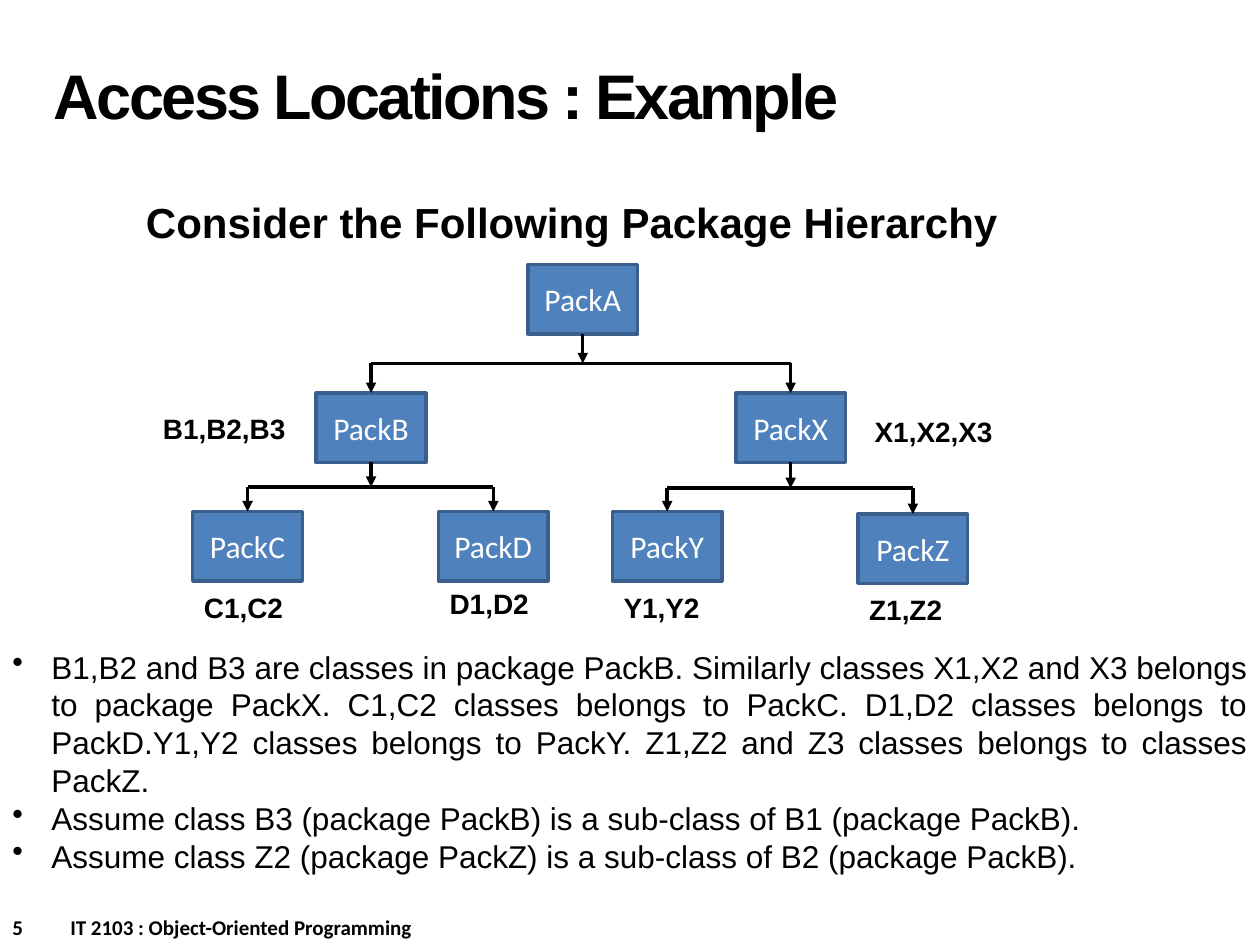
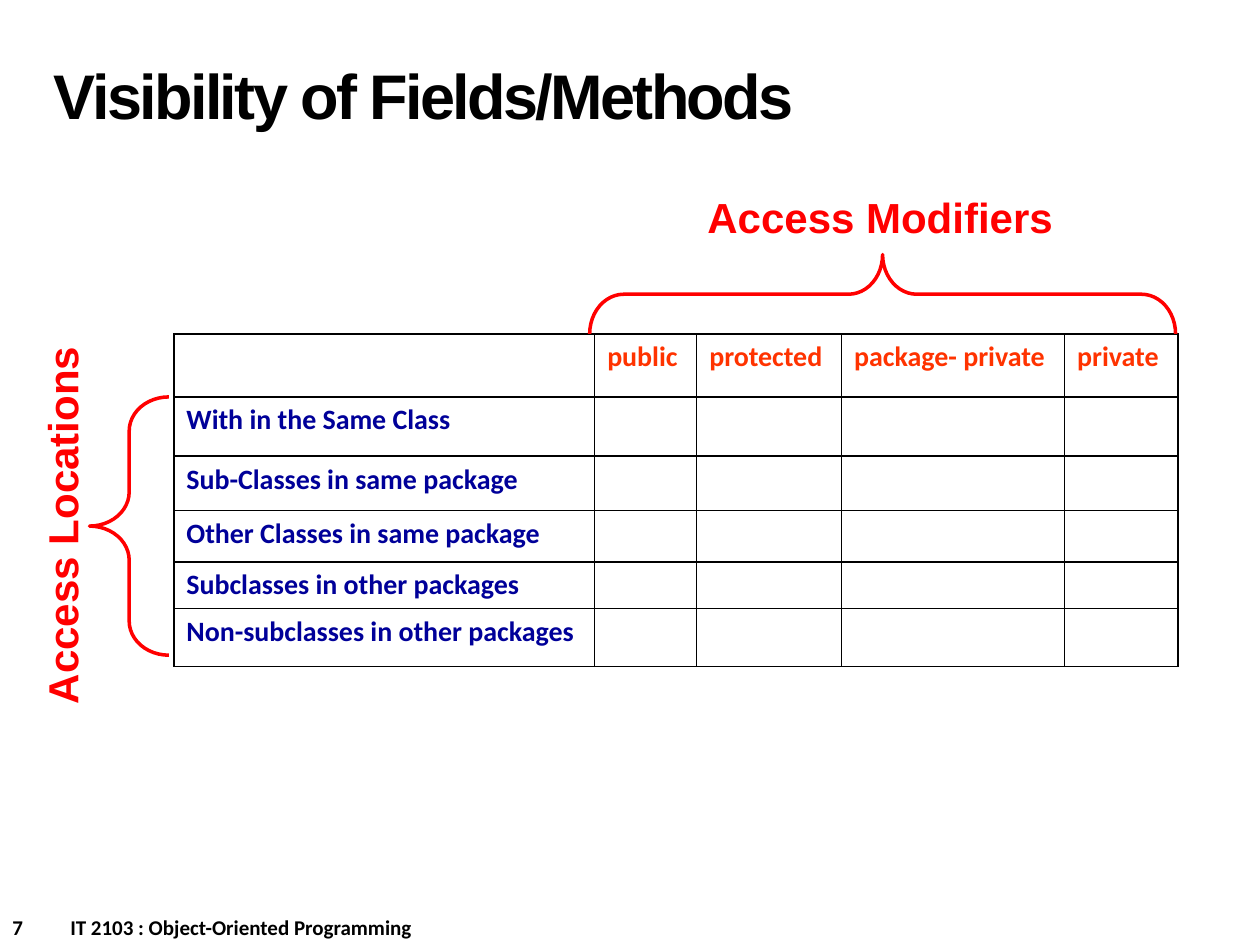
from dataclasses import dataclass
from typing import NamedTuple

from lxml.etree import SubElement
from pptx import Presentation
from pptx.dml.color import RGBColor
from pptx.enum.shapes import MSO_CONNECTOR, MSO_SHAPE
from pptx.enum.text import MSO_ANCHOR, PP_ALIGN
from pptx.oxml.ns import qn
from pptx.util import Inches, Pt


@dataclass(frozen=True)
class Theme:
    """Colours, fonts and type sizes shared by the slides."""
    heading_font: str = "Arial"
    label_font: str = "Calibri"
    black: str = "000000"
    white: str = "FFFFFF"
    box_fill: str = "4F81BD"
    box_line: str = "3A5F8C"
    red: str = "FF0000"
    modifier: str = "FF3300"
    location: str = "000099"
    title_size: int = 36
    heading_size: int = 24
    body_size: int = 18
    label_size: int = 16
    footer_size: int = 12
    line_width: int = 2


class Area(NamedTuple):
    """A rectangle in inches."""
    left: float
    top: float
    width: float
    height: float


class Package(NamedTuple):
    """A package box with its class label and its child packages."""
    name: str
    left: float
    top: float
    classes: str = ""
    label: Area = None
    align: PP_ALIGN = PP_ALIGN.LEFT
    children: tuple = ()


class Brace(NamedTuple):
    """A turned brace and the heading beside it."""
    area: Area
    rotation: int
    heading: str
    heading_area: Area
    heading_rotation: int


THEME = Theme()
BOX_WIDTH, BOX_HEIGHT = 0.87, 0.55
LABEL_WIDTH, LABEL_HEIGHT = 0.85, 0.37
SIDE_LABEL_WIDTH = 1.44
COURSE = "IT 2103 : Object-Oriented Programming"


def leaf(name: str, left: float, top: float, classes: str, label_top: float) -> Package:
    """Make a package whose label stands below its box."""
    return Package(name, left, top, classes,
                   Area(left - 0.01, label_top, LABEL_WIDTH, LABEL_HEIGHT))


def branch(name: str, left: float, top: float, classes: str, label_left: float,
           label_top: float, *children: Package) -> Package:
    """Make a package whose label stands at the side of its box."""
    return Package(name, left, top, classes,
                   Area(label_left, label_top, SIDE_LABEL_WIDTH, LABEL_HEIGHT),
                   PP_ALIGN.CENTER, children)


HIERARCHY = Package("PackA", 4.19, 2.1, children=(
    branch("PackB", 2.51, 3.12, "B1,B2,B3", 1.06, 3.22,
           leaf("PackC", 1.53, 4.06, "C1,C2", 4.64),
           leaf("PackD", 3.48, 4.06, "D1,D2", 4.61)),
    branch("PackX", 5.84, 3.12, "X1,X2,X3", 6.69, 3.24,
           leaf("PackY", 4.86, 4.06, "Y1,Y2", 4.64),
           leaf("PackZ", 6.81, 4.08, "Z1,Z2", 4.65)),
))

NOTES = (
    ("B1,B2 and B3 are classes in package PackB. Similarly classes X1,X2 and X3 belongs to "
     "package PackX. C1,C2 classes belongs to PackC. D1,D2 classes belongs to PackD.Y1,Y2 "
     "classes belongs to PackY. Z1,Z2 and Z3 classes belongs to classes PackZ.", PP_ALIGN.JUSTIFY),
    ("Assume class B3 (package PackB) is a sub-class of B1 (package PackB).", PP_ALIGN.LEFT),
    ("Assume class Z2 (package PackZ) is a sub-class of B2 (package PackB).", PP_ALIGN.LEFT),
)

MODIFIERS = ("public", "protected", "package- private", "private")
LOCATIONS = ("With in the Same Class", "Sub-Classes in same package",
             "Other Classes in same package", "Subclasses in other packages",
             "Non-subclasses in other packages")
TABLE_AREA = Area(1.38, 2.65, 7.96, 2.63)
COLUMN_WIDTHS = (3.34, 0.81, 1.15, 1.77, 0.9)
ROW_HEIGHTS = (0.5, 0.47, 0.43, 0.41, 0.37, 0.46)

BRACES = (
    Brace(Area(6.69, 0.01, 0.63, 4.65), 270,
          "Access Modifiers", Area(5.5, 1.47, 2.97, 0.5), 0),
    Brace(Area(0.71, 3.15, 0.63, 2.05), 180,
          "Access Locations", Area(-1.04, 3.92, 3.06, 0.5), 270),
)


def inches(area: Area) -> tuple:
    """Turn an area into lengths."""
    return tuple(Inches(value) for value in area)


def style(para, size: int, font: str, colour: str, bold: bool = False,
          align: PP_ALIGN = PP_ALIGN.LEFT) -> None:
    """Set the font and alignment of a paragraph."""
    para.alignment = align
    para.font.size = Pt(size)
    para.font.name = font
    para.font.bold = bold
    para.font.color.rgb = RGBColor.from_string(colour)


def add_text(page, area: Area, text: str, size: int, font: str = THEME.heading_font,
             colour: str = THEME.black, bold: bool = True,
             align: PP_ALIGN = PP_ALIGN.LEFT, wrap: bool = True):
    """Add a one-paragraph text box and return it."""
    box = page.shapes.add_textbox(*inches(area))
    box.text_frame.word_wrap = wrap
    para = box.text_frame.paragraphs[0]
    para.text = text
    style(para, size, font, colour, bold, align)
    return box


def add_page(deck, number: int, title: str):
    """Add a slide with its title and footer."""
    page = deck.slides.add_slide(deck.slide_layouts[6])
    footer = add_text(page, Area(0, 7.21, 5, 0.3), f"{number}\t{COURSE}",
                      THEME.footer_size, THEME.label_font)
    properties = footer.text_frame.paragraphs[0]._p.get_or_add_pPr()
    stops = properties.makeelement(qn("a:tabLst"))
    SubElement(stops, qn("a:tab"), pos=str(Inches(0.46)), algn="l")
    properties.insert(0, stops)
    heading = add_text(page, Area(0.33, 0.17, 6.92, 1.25), title, THEME.title_size)
    heading.text_frame.vertical_anchor = MSO_ANCHOR.MIDDLE
    para = heading.text_frame.paragraphs[0]
    para.line_spacing = Pt(THEME.title_size)
    para.runs[0]._r.get_or_add_rPr().set("spc", "-150")
    return page


def add_line(page, start: tuple, end: tuple, arrow: bool = False):
    """Add a straight black line, with an arrowhead if asked."""
    line = page.shapes.add_connector(MSO_CONNECTOR.STRAIGHT,
                                     *(Inches(value) for value in start + end))
    line.line.width = Pt(THEME.line_width)
    line.line.color.rgb = RGBColor.from_string(THEME.black)
    if arrow:
        SubElement(line.line._get_or_add_ln(), qn("a:tailEnd"), type="triangle")
    SubElement(line._element.spPr, qn("a:effectLst"))
    return line


def add_package(page, package: Package):
    """Draw a package, its label and everything below it."""
    area = Area(package.left, package.top, BOX_WIDTH, BOX_HEIGHT)
    box = page.shapes.add_shape(MSO_SHAPE.RECTANGLE, *inches(area))
    box.shadow.inherit = False
    box.fill.solid()
    box.fill.fore_color.rgb = RGBColor.from_string(THEME.box_fill)
    box.line.color.rgb = RGBColor.from_string(THEME.box_line)
    box.line.width = Pt(THEME.line_width)
    box.text_frame.vertical_anchor = MSO_ANCHOR.MIDDLE
    para = box.text_frame.paragraphs[0]
    para.text = package.name
    style(para, THEME.body_size, THEME.label_font, THEME.white, align=PP_ALIGN.CENTER)
    if package.label:
        add_text(page, package.label, package.classes, THEME.label_size, align=package.align)
    if package.children:
        add_fork(page, package, box)
    return box


def add_fork(page, package: Package, box) -> None:
    """Join a package to its children with a stem, a bar and drops."""
    bottom = package.top + BOX_HEIGHT
    bar = (bottom + max(child.top for child in package.children)) / 2
    middle = package.left + BOX_WIDTH / 2
    stem = add_line(page, (middle, bottom), (middle, bar), arrow=True)
    stem.begin_connect(box, 2)
    for child in package.children:
        child_box = add_package(page, child)
        child_middle = child.left + BOX_WIDTH / 2
        add_line(page, (middle, bar), (child_middle, bar))
        drop = add_line(page, (child_middle, bar), (child_middle, child.top), arrow=True)
        drop.end_connect(child_box, 0)


def add_notes(page) -> None:
    """Add the bulleted notes below the hierarchy."""
    box = page.shapes.add_textbox(*inches(Area(0, 5.09, 10, 1.92)))
    frame = box.text_frame
    frame.word_wrap = True
    for index, (text, align) in enumerate(NOTES):
        para = frame.add_paragraph() if index else frame.paragraphs[0]
        para.text = text
        style(para, THEME.body_size, THEME.heading_font, THEME.black, align=align)
        properties = para._p.get_or_add_pPr()
        properties.set("marL", str(Inches(0.31)))
        properties.set("indent", str(-Inches(0.31)))
        bullet = properties.makeelement(qn("a:buChar"), char="•")
        properties.insert(0, bullet)


def add_borders(cell) -> None:
    """Give a cell thin black borders."""
    properties = cell._tc.get_or_add_tcPr()
    for index, side in enumerate(("a:lnL", "a:lnR", "a:lnT", "a:lnB")):
        border = properties.makeelement(qn(side), w=str(Pt(1)))
        fill = SubElement(border, qn("a:solidFill"))
        SubElement(fill, qn("a:srgbClr"), val=THEME.black)
        properties.insert(index, border)


def add_visibility_table(page) -> None:
    """Add the grid of access locations against access modifiers."""
    rows = [("",) + MODIFIERS]
    rows += [(location,) + ("",) * len(MODIFIERS) for location in LOCATIONS]
    table = page.shapes.add_table(len(rows), len(COLUMN_WIDTHS), *inches(TABLE_AREA)).table
    table.first_row = table.horz_banding = False
    for column, width in zip(table.columns, COLUMN_WIDTHS):
        column.width = Inches(width)
    for row_index, (row, height, texts) in enumerate(zip(table.rows, ROW_HEIGHTS, rows)):
        row.height = Inches(height)
        colour = THEME.location if row_index else THEME.modifier
        for cell, text in zip(row.cells, texts):
            cell.fill.background()
            add_borders(cell)
            para = cell.text_frame.paragraphs[0]
            para.text = text
            style(para, THEME.label_size, THEME.label_font, colour, bold=True)


def add_brace(page, brace: Brace) -> None:
    """Add a red brace with its heading."""
    shape = page.shapes.add_shape(MSO_SHAPE.RIGHT_BRACE, *inches(brace.area))
    shape.rotation = brace.rotation
    shape.adjustments[0], shape.adjustments[1] = 0.43, 0.5
    shape.shadow.inherit = False
    shape.fill.background()
    shape.line.color.rgb = RGBColor.from_string(THEME.red)
    shape.line.width = Pt(THEME.line_width)
    heading = add_text(page, brace.heading_area, brace.heading, THEME.heading_size,
                       colour=THEME.red, align=PP_ALIGN.CENTER, wrap=False)
    heading.rotation = brace.heading_rotation


def main() -> None:
    """Build the deck and save it."""
    deck = Presentation()
    deck.slide_width, deck.slide_height = Inches(10), Inches(7.5)
    page = add_page(deck, 5, "Access Locations : Example")
    add_text(page, Area(1.06, 1.51, 7.02, 0.5), "Consider the Following Package Hierarchy",
             THEME.heading_size, wrap=False)
    add_package(page, HIERARCHY)
    add_notes(page)
    page = add_page(deck, 7, "Visibility of Fields/Methods")
    add_visibility_table(page)
    for brace in BRACES:
        add_brace(page, brace)
    deck.save("out.pptx")


if __name__ == "__main__":
    main()
